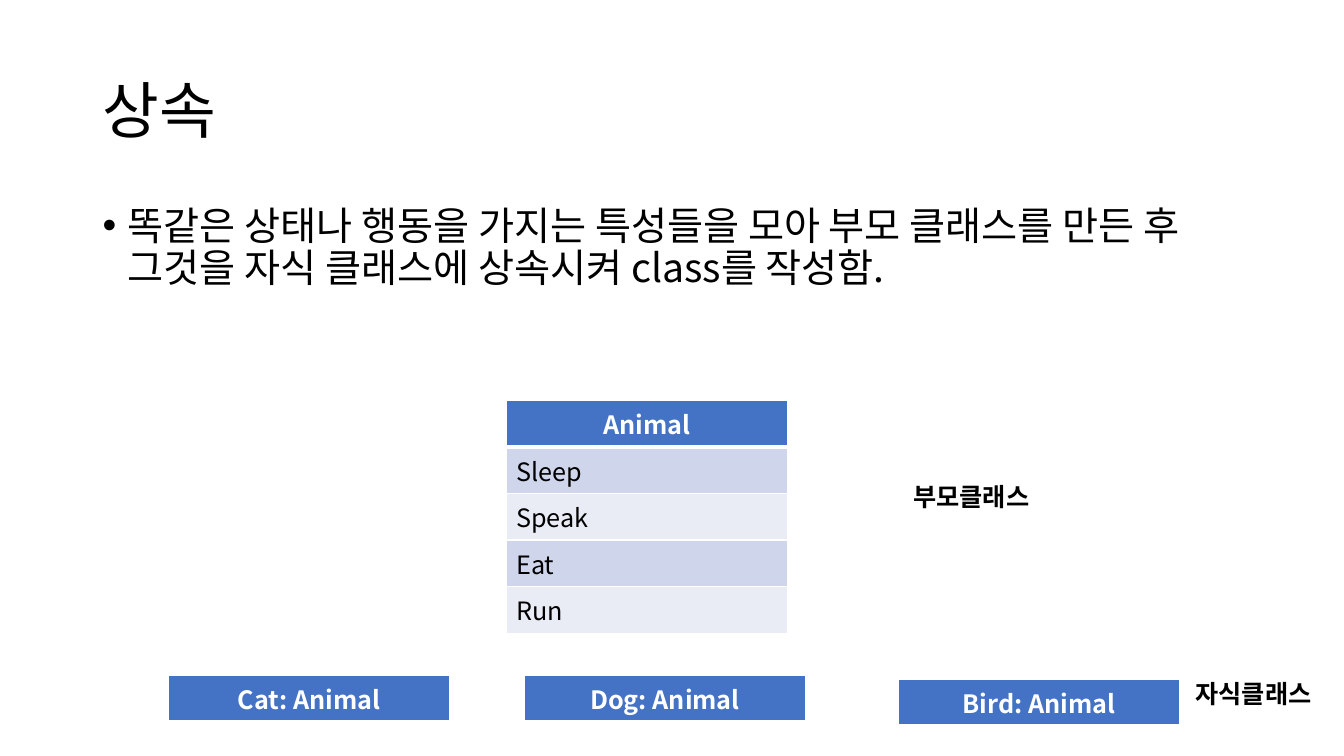
from dataclasses import dataclass

from lxml import etree
from pptx import Presentation
from pptx.dml.color import RGBColor
from pptx.enum.text import MSO_ANCHOR, PP_ALIGN
from pptx.oxml.ns import qn
from pptx.util import Inches, Pt

CENTER, LEFT = PP_ALIGN.CENTER, PP_ALIGN.LEFT
TOP, MIDDLE = MSO_ANCHOR.TOP, MSO_ANCHOR.MIDDLE


@dataclass(frozen=True)
class Theme:
    """Colours, font and type sizes of the slide."""
    font: str = "Noto Sans CJK KR"
    ink: str = "000000"
    paper: str = "FFFFFF"
    header: str = "4472C4"
    bands: tuple = ("CFD5EA", "E9EBF5")
    title_size: int = 44
    body_size: int = 28
    label_size: int = 18


def write_text(frame, text, *, font, size, color, bold=False, align=LEFT):
    """Write one formatted paragraph into a text frame and return it."""
    paragraph = frame.paragraphs[0]
    paragraph.alignment = align
    run = paragraph.add_run()
    run.text = text
    run.font.name = font
    run.font.size = Pt(size)
    run.font.bold = bold
    run.font.color.rgb = RGBColor.from_string(color)
    etree.SubElement(run.font._element, qn("a:ea"), typeface=font)
    return paragraph


class SlideBuilder:
    """Draw text and class tables on one slide in one theme."""

    def __init__(self, slide, theme):
        """Keep the slide and its theme."""
        self.slide = slide
        self.theme = theme

    def text(self, text, left, top, width, height, *, size, bold=False, anchor=TOP):
        """Add a wrapping text box and return its paragraph."""
        box = self.slide.shapes.add_textbox(
            Inches(left), Inches(top), Inches(width), Inches(height))
        frame = box.text_frame
        frame.word_wrap = True
        frame.vertical_anchor = anchor
        return write_text(frame, text, font=self.theme.font, size=size,
                          color=self.theme.ink, bold=bold)

    def title(self, text):
        """Add the slide title."""
        paragraph = self.text(text, 0.92, 0.4, 11.5, 1.45,
                              size=self.theme.title_size, anchor=MIDDLE)
        paragraph.line_spacing = 0.9

    def bullet(self, text):
        """Add the bulleted body text."""
        paragraph = self.text(text, 0.92, 2, 11.5, 1.87, size=self.theme.body_size)
        paragraph.line_spacing = 0.9
        paragraph.space_before = Pt(10)
        properties = paragraph._p.get_or_add_pPr()
        properties.set("marL", str(Inches(0.25)))
        properties.set("indent", str(Inches(-0.25)))
        etree.SubElement(properties, qn("a:buFont"), typeface="Arial")
        etree.SubElement(properties, qn("a:buChar"), char="•")

    def label(self, text, left, top):
        """Add a bold label beside a class table."""
        self.text(text, left, top, 2.25, 0.4, size=self.theme.label_size, bold=True)

    def borders(self, cell, bottom):
        """Give a cell borders, with its own bottom width."""
        properties = cell._tc.get_or_add_tcPr()
        for side, width in (("L", 1), ("R", 1), ("T", 1), ("B", bottom)):
            line = etree.SubElement(properties, qn(f"a:ln{side}"), w=str(Pt(width)))
            fill = etree.SubElement(line, qn("a:solidFill"))
            etree.SubElement(fill, qn("a:srgbClr"), val=self.theme.paper)

    def class_table(self, name, left, top, methods=()):
        """Add a class table with a header and one row per method."""
        theme = self.theme
        row_height = 0.406
        rows = (name, *methods)
        table = self.slide.shapes.add_table(
            len(rows), 1, Inches(left), Inches(top),
            Inches(2.79), Inches(row_height * len(rows))).table
        for index, text in enumerate(rows):
            is_header = index == 0
            cell = table.cell(index, 0)
            self.borders(cell, bottom=3 if is_header else 1)
            fill = theme.header if is_header else theme.bands[(index - 1) % 2]
            cell.fill.solid()
            cell.fill.fore_color.rgb = RGBColor.from_string(fill)
            write_text(cell.text_frame, text, font=theme.font, size=theme.label_size,
                       color=theme.paper if is_header else theme.ink,
                       bold=is_header, align=CENTER if is_header else LEFT)


def main():
    """Build the inheritance slide and save it."""
    presentation = Presentation()
    presentation.slide_width = Inches(13.33)
    presentation.slide_height = Inches(7.5)
    slide = presentation.slides.add_slide(presentation.slide_layouts[6])
    builder = SlideBuilder(slide, Theme())

    for name, left, top in (("Cat", 1.67, 6.7), ("Dog", 5.2, 6.7), ("Bird", 8.91, 6.74)):
        builder.class_table(f"{name}: Animal", left, top)
    builder.class_table("Animal", 5.02, 3.97, ("Sleep", "Speak", "Eat", "Run"))
    builder.title("상속")
    builder.bullet("똑같은 상태나 행동을 가지는 특성들을 모아 부모 클래스를 만든 후 "
                   "그것을 자식 클래스에 상속시켜 class를 작성함.")
    builder.label("부모클래스", 8.96, 4.73)
    builder.label("자식클래스", 11.76, 6.68)
    presentation.save("out.pptx")


if __name__ == "__main__":
    main()
